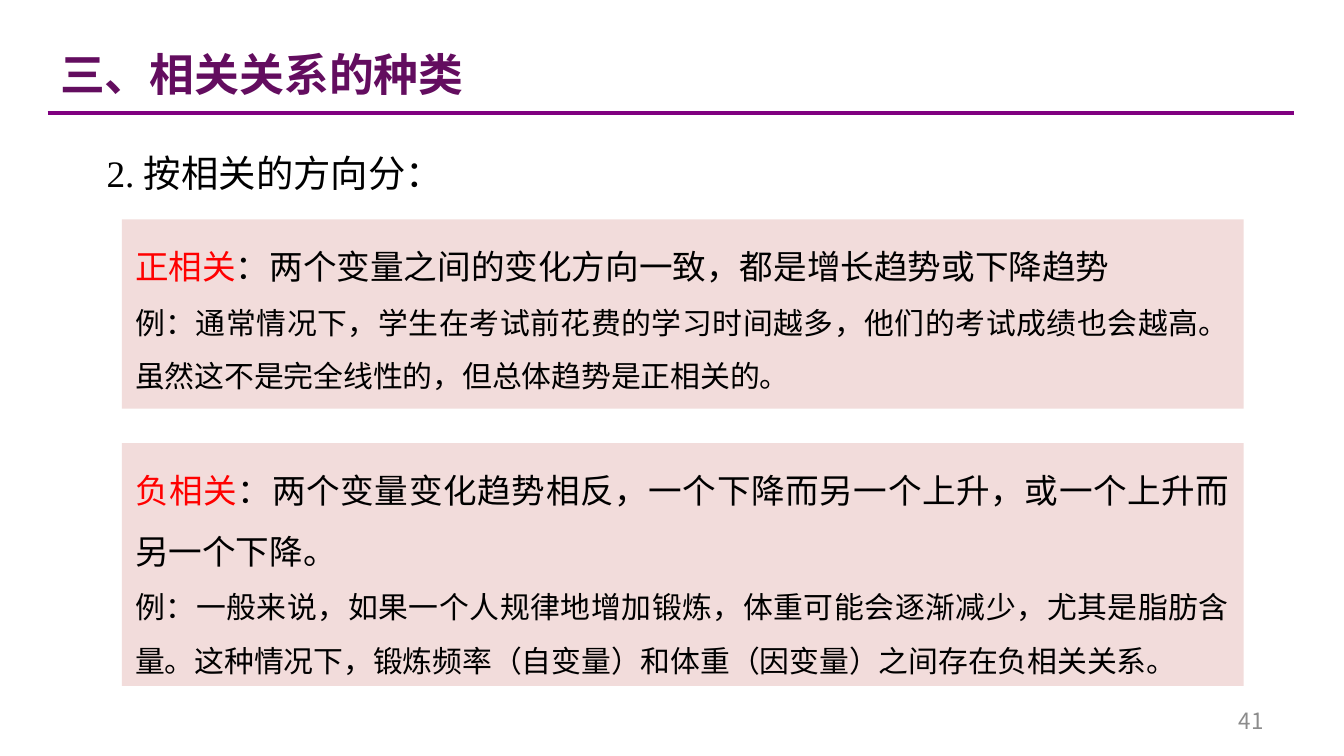
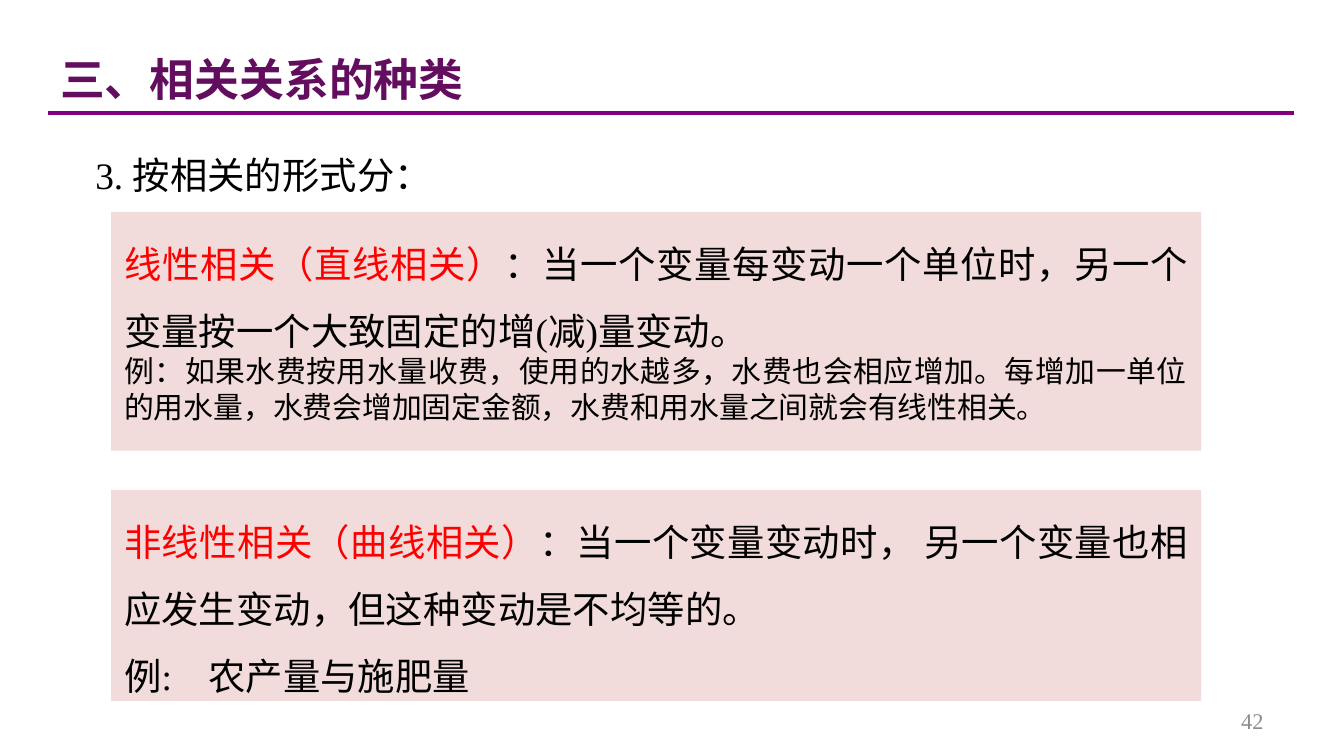
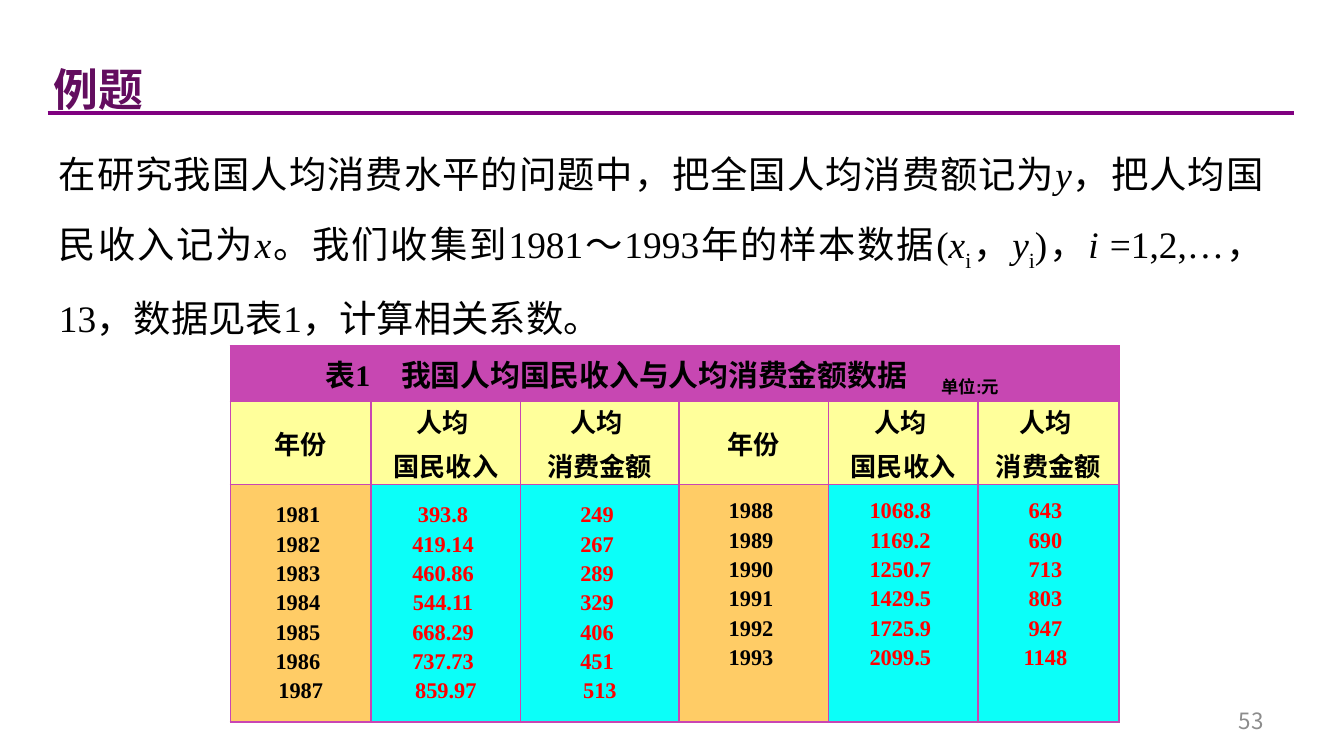
"""Build three lecture slides on kinds of correlation and a worked example."""
from lxml import etree
from pptx import Presentation
from pptx.dml.color import RGBColor
from pptx.enum.shapes import MSO_CONNECTOR, MSO_SHAPE
from pptx.enum.text import MSO_ANCHOR, PP_ALIGN
from pptx.oxml.ns import qn
from pptx.util import Pt

LEFT, MID, RIGHT, JUST = PP_ALIGN.LEFT, PP_ALIGN.CENTER, PP_ALIGN.RIGHT, PP_ALIGN.JUSTIFY
TOP, CENTRE = MSO_ANCHOR.TOP, MSO_ANCHOR.MIDDLE
RECT, STRAIGHT = MSO_SHAPE.RECTANGLE, MSO_CONNECTOR.STRAIGHT

COLORS = {"rule": "800080", "title": "630D5F", "text": "000000", "key": "FF0000",
          "panel": "F2DCDB", "page": "8C8C8C", "edge": "C945B3", "band": "C747B2",
          "head": "FFFF9B", "year": "FFCC66", "value": "0BFFF9"}
SANS, SERIF = "Noto Sans CJK SC", "Times New Roman"
LOOSE, TIGHT = 1.5, 1.0

STYLES = {
    "": {}, "key": {"color": "key"}, "var": {"italic": True}, "sub": {"base": -25},
    "plain": {"font": "Calibri"}, "arial": {"font": "Arial"},
    "unit": {"font": "Arial", "base": -25},
}

TOPICS = [
    {"page": "41", "face": SANS, "title": ("三、相关关系的种类", (25.2, -13, 612, 90), CENTRE),
     "head": ("2. 按相关的方向分：", (42.5, 65, 209.5, 41), MID),
     "panels": [
         ((65.3, 117.5, 601, 101.5), SANS, [
             (18, LOOSE, [("正相关", "key"),
                          ("：两个变量之间的变化方向一致，都是增长趋势或下降趋势", "")]),
             (16, LOOSE, [("例：通常情况下，学生在考试前花费的学习时间越多，他们的考试成绩也会越高。"
                           "虽然这不是完全线性的，但总体趋势是正相关的。", "")])]),
         ((65.3, 237.5, 601, 130), SERIF, [
             (18, LOOSE, [("负相关", "key"),
                          ("：两个变量变化趋势相反，一个下降而另一个上升，或一个上升而另一个下降。", "")]),
             (16, LOOSE, [("例：", ""),
                          ("一般来说，如果一个人规律地增加锻炼，体重可能会逐渐减少，尤其是脂肪含量。"
                           "这种情况下，锻炼频率（自变量）和体重（因变量）之间存在负相关关系。", "plain")])])]},
    {"page": "42", "face": SERIF, "title": ("三、相关关系的种类", (25.2, 21, 238.5, 28), CENTRE),
     "head": ("3. 按相关的形式分：", (44, 66, 200, 39), LEFT),
     "panels": [
         ((59.5, 113.5, 584, 128), SERIF, [
             (20, LOOSE, [("线性相关（直线相关）", "key"),
                          ("：当一个变量每变动一个单位时，另一个变量按一个大致固定的增(减)量变动。", "")]),
             (16, TIGHT, [("例：", ""),
                          ("如果水费按用水量收费，使用的水越多，水费也会相应增加。每增加一单位的用水量，"
                           "水费会增加固定金额，水费和用水量之间就会有线性相关。", "plain")])]),
         ((59.5, 262.5, 584, 113), SERIF, [
             (20, LOOSE, [("非线性相关（曲线相关）", "key"),
                          ("：当一个变量变动时， 另一个变量也相应发生变动，但这种变动是不均等的。", "")]),
             (20, LOOSE, [("例:\t农产量与施肥量", "")], [45])])]},
]

CASE = {
    "page": "53", "face": SANS, "title": ("例题", (21.5, 15, 360, 44), TOP),
    "body": [("在研究我国人均消费水平的问题中，把全国人均消费额记为", ""), ("y", "var"),
             ("，把人均国民收入记为", ""), ("x", "var"),
             ("。我们收集到1981～1993年的样本数据(", ""), ("x", "var"), ("i", "sub"),
             ("，", ""), ("y", "var"), ("i", "sub"), (")，", ""), ("i ", "var"),
             ("=1,2,…，13，数据见表1，计算相关系数。", "")],
    "caption": [("表", "arial"), ("1\t", ""), ("我国人均国民收入与人均消费金额数据\t", "arial"),
                ("单位:元", "unit")],
    "heads": [["年份"], ["人均 ", "国民收入"], ["人均 ", "消费金额"]],
    "series": [(1981, 393.8, 249), (1982, 419.14, 267), (1983, 460.86, 289),
               (1984, 544.11, 329), (1985, 668.29, 406), (1986, 737.73, 451),
               (1987, 859.97, 513), (1988, 1068.8, 643), (1989, 1169.2, 690),
               (1990, 1250.7, 713), (1991, 1429.5, 803), (1992, 1725.9, 947),
               (1993, 2099.5, 1148)],
}
SPLIT = 7
WIDTHS = [75.5, 80, 85, 80, 80, 75.5]
HEIGHTS = [29.6, 44.6, 127.2]


def rgb(name):
    return RGBColor.from_string(COLORS[name])


def write(par, runs, size, face=SERIF, color="text", align=JUST, gap=1.0,
          bold=False, before=0, stops=()):
    par.alignment = align
    if stops:
        tabs = etree.SubElement(par._p.get_or_add_pPr(), qn("a:tabLst"))
        for stop in stops:
            etree.SubElement(tabs, qn("a:tab"), pos=str(Pt(stop)), algn="l")
    par.line_spacing = gap
    if before:
        par.space_before = Pt(before)
    for text, style in runs:
        look = STYLES[style]
        run = par.add_run()
        run.text = text
        font = run.font
        font.size, font.bold = Pt(size), bold
        font.italic = look.get("italic", False)
        font.name = look.get("font", face)
        font.color.rgb = rgb(look.get("color", color))
        props = run._r.get_or_add_rPr()
        etree.SubElement(props, qn("a:ea"), typeface=SANS)
        if "base" in look:
            props.set("baseline", str(look["base"] * 1000))


def frame(slide, box, anchor=TOP, fill=None):
    area = [Pt(v) for v in box]
    if fill:
        shape = slide.shapes.add_shape(RECT, *area)
        shape.shadow.inherit = False
        shape.fill.solid()
        shape.fill.fore_color.rgb = rgb(fill)
        shape.line.fill.background()
    else:
        shape = slide.shapes.add_textbox(*area)
    text = shape.text_frame
    text.word_wrap = True
    text.vertical_anchor = anchor
    return text


def start(deck, item):
    slide = deck.slides.add_slide(deck.slide_layouts[6])
    rule = slide.shapes.add_connector(STRAIGHT, Pt(25.5), Pt(60.5), Pt(693.2), Pt(60.5))
    rule.line.color.rgb = rgb("rule")
    rule.line.width = Pt(2.25)
    etree.SubElement(rule._element.spPr, qn("a:effectLst"))
    page = frame(slide, (516, 375, 168, 21.5), CENTRE)
    write(page.paragraphs[0], [(item["page"], "")], 12, item["face"], "page", RIGHT)
    text, box, anchor = item["title"]
    title = frame(slide, box, anchor)
    write(title.paragraphs[0], [(text, "")], 24, SANS, "title", LEFT, LOOSE, True)
    return slide


def add_topic(deck, item):
    slide = start(deck, item)
    text, box, align = item["head"]
    head = frame(slide, box)
    write(head.paragraphs[0], [(text, "")], 20, align=align, gap=LOOSE)
    for box, face, pars in item["panels"]:
        panel = frame(slide, box, fill="panel")
        for n, (size, gap, runs, *stops) in enumerate(pars):
            par = panel.add_paragraph() if n else panel.paragraphs[0]
            write(par, runs, size, face, gap=gap, stops=stops[0] if stops else ())


def paint(cell, fill):
    cell.fill.solid()
    cell.fill.fore_color.rgb = rgb(fill)
    cell.vertical_anchor = CENTRE
    props = cell._tc.get_or_add_tcPr()
    for n, side in enumerate(("lnL", "lnR", "lnT", "lnB")):
        line = etree.Element(qn("a:" + side), w=str(Pt(1)))
        ink = etree.SubElement(line, qn("a:solidFill"))
        etree.SubElement(ink, qn("a:srgbClr"), val=COLORS["edge"])
        props.insert(n, line)


def stack(cell, lines, size, color, before):
    for n, line in enumerate(lines):
        par = cell.text_frame.add_paragraph() if n else cell.text_frame.paragraphs[0]
        write(par, [(line, "")], size, color=color, align=MID, bold=True,
              before=before if n else 0)


def add_case(deck, item):
    slide = start(deck, item)
    body = frame(slide, (24.5, 65.5, 659.5, 111.5))
    write(body.paragraphs[0], item["body"], 20, gap=LOOSE)
    grid = slide.shapes.add_table(3, 6, Pt(123.4), Pt(185.4), Pt(sum(WIDTHS)),
                                  Pt(sum(HEIGHTS))).table
    for col, width in zip(grid.columns, WIDTHS):
        col.width = Pt(width)
    for row, height in zip(grid.rows, HEIGHTS):
        row.height = Pt(height)
    series = item["series"]
    halves = [*zip(*series[:SPLIT]), *zip(*series[SPLIT:])]
    for n, values in enumerate(halves):
        top, head, data = (grid.cell(r, n) for r in range(3))
        year = n % 3 == 0
        paint(top, "band")
        paint(head, "head")
        paint(data, "year" if year else "value")
        top.margin_top = top.margin_bottom = Pt(3)
        head.margin_top = head.margin_bottom = 0
        stack(head, item["heads"][n % 3], 14, "text", 3.3)
        lines = [f"{v} " if k < SPLIT - 1 else str(v) for k, v in enumerate(values)]
        stack(data, lines, 12, "text" if year else "key", 2.4)
        if len(values) < SPLIT:
            data.vertical_anchor = TOP
            data.margin_top = Pt(7.6)
    first = grid.cell(0, 0)
    first.merge(grid.cell(0, 5))
    first.margin_left = Pt(51)
    write(first.text_frame.paragraphs[0], item["caption"], 16, align=LEFT, bold=True,
          stops=(40.5, 330))


def main():
    deck = Presentation()
    deck.slide_width, deck.slide_height = Pt(720), Pt(405)
    for item in TOPICS:
        add_topic(deck, item)
    add_case(deck, CASE)
    deck.save("out.pptx")


if __name__ == "__main__":
    main()
